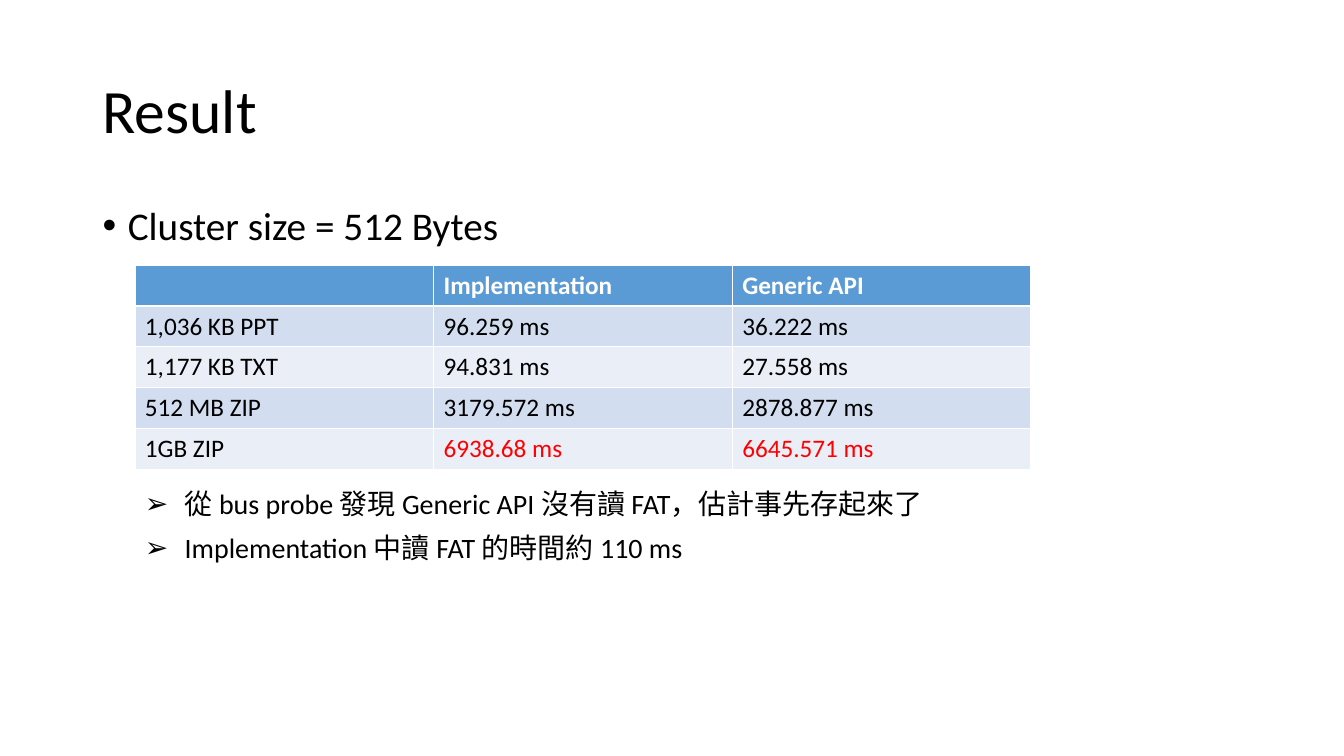
from lxml import etree
from pptx import Presentation
from pptx.dml.color import RGBColor
from pptx.enum import text
from pptx.oxml import ns
from pptx.util import Cm, Pt

BLACK = RGBColor(0x00, 0x00, 0x00)
WHITE = RGBColor(0xFF, 0xFF, 0xFF)
RED = RGBColor(0xFF, 0x00, 0x00)
HEADER_BLUE = RGBColor(0x5B, 0x9B, 0xD5)
BAND_COLORS = (RGBColor(0xD2, 0xDE, 0xEF), RGBColor(0xEA, 0xEF, 0xF7))
FONT = "Calibri"

TIMINGS = (
    ("", "Implementation", "Generic API"),
    ("1,036 KB PPT", "96.259 ms", "36.222 ms"),
    ("1,177 KB TXT", "94.831 ms", "27.558 ms"),
    ("512 MB ZIP", "3179.572 ms", "2878.877 ms"),
    ("1GB ZIP", "6938.68 ms", "6645.571 ms"),
)
FINDINGS = (
    "從 bus probe 發現 Generic API 沒有讀 FAT，估計事先存起來了",
    "Implementation 中讀 FAT 的時間約 110 ms",
)


def place(shape, box):
    shape.left, shape.top, shape.width, shape.height = box


def style_font(paragraph, size, color=BLACK, bold=False):
    font = paragraph.font
    font.name, font.size, font.bold = FONT, Pt(size), bold
    font.color.rgb = color


def set_bullet(paragraph, character, indent):
    properties = paragraph._p.get_or_add_pPr()
    properties.set("marL", str(indent))
    properties.set("indent", str(-indent))
    etree.SubElement(properties, ns.qn("a:buFont")).set("typeface", "Arial")
    etree.SubElement(properties, ns.qn("a:buChar")).set("char", character)


def fill_title(title, box, wording):
    place(title, box)
    frame = title.text_frame
    frame.vertical_anchor = text.MSO_ANCHOR.MIDDLE
    frame.auto_size = text.MSO_AUTO_SIZE.NONE
    paragraph = frame.paragraphs[0]
    paragraph.text = wording
    paragraph.alignment = text.PP_ALIGN.LEFT
    paragraph.line_spacing = 0.9
    style_font(paragraph, 44)


def fill_list(body, box, items, size, bullet, indent):
    place(body, box)
    frame = body.text_frame
    frame.auto_size = text.MSO_AUTO_SIZE.NONE
    frame.text = "\n".join(items)
    for paragraph in frame.paragraphs:
        set_bullet(paragraph, bullet, indent)
        paragraph.line_spacing = 0.9
        paragraph.space_before = Pt(10)
        style_font(paragraph, size)


def add_timing_table(slide, box):
    """Add the timings under a header row, with the slowest row's values in red."""
    table = slide.shapes.add_table(len(TIMINGS), len(TIMINGS[0]), *box).table
    last_row = len(TIMINGS) - 1
    for row, values in enumerate(TIMINGS):
        for column, value in enumerate(values):
            cell = table.cell(row, column)
            cell.text = value
            cell.fill.solid()
            if row == 0:
                fill, color = HEADER_BLUE, WHITE
            else:
                fill = BAND_COLORS[(row - 1) % 2]
                color = RED if row == last_row and column > 0 else BLACK
            cell.fill.fore_color.rgb = fill
            style_font(cell.text_frame.paragraphs[0], 18, color, bold=row == 0)


def build_result_slide(presentation):
    slide = presentation.slides.add_slide(presentation.slide_layouts[3])
    title, cluster_size, findings = slide.placeholders
    left, width = Cm(2.33), Cm(29.21)
    table_left = Cm(3.4)
    fill_title(title, (left, Cm(1.01), width, Cm(3.68)), "Result")
    fill_list(cluster_size, (left, Cm(5.08), width, Cm(1.6)),
              ["Cluster size = 512 Bytes"], 28, "•", Cm(0.64))
    add_timing_table(slide, (table_left, Cm(6.68), Cm(22.58), Cm(5.15)))
    fill_list(findings, (table_left, Cm(12.22), width, Cm(2.46)),
              FINDINGS, 20, "➢", Cm(1))


def main():
    presentation = Presentation()
    presentation.slide_width, presentation.slide_height = Cm(33.87), Cm(19.05)
    build_result_slide(presentation)
    presentation.save("out.pptx")


if __name__ == "__main__":
    main()
